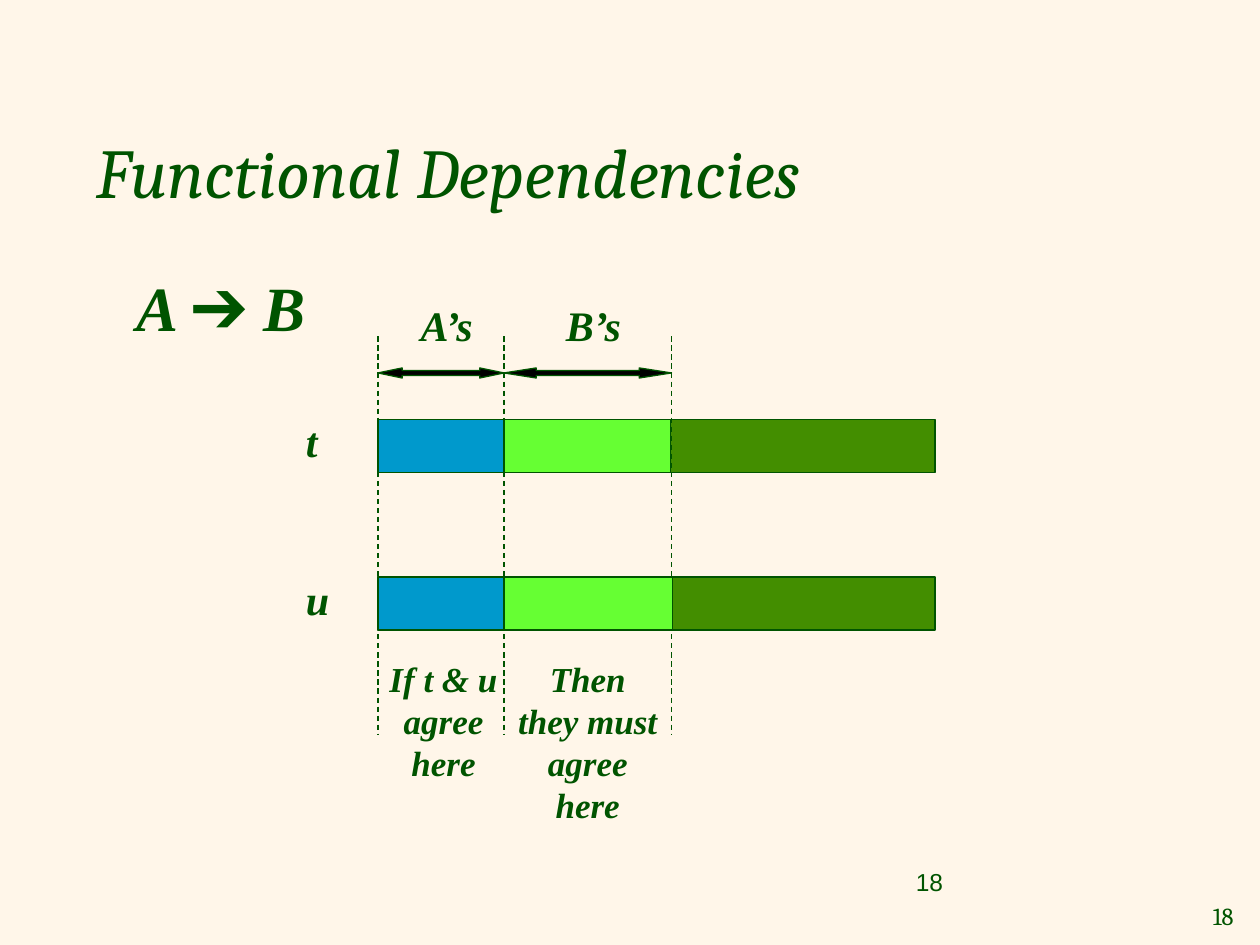
from pptx import Presentation
from pptx.dml.color import RGBColor
from pptx.enum.dml import MSO_LINE
from pptx.enum.shapes import MSO_CONNECTOR, MSO_SHAPE
from pptx.enum.text import MSO_ANCHOR, PP_ALIGN
from pptx.oxml.ns import qn
from pptx.util import Inches, Pt
from lxml import etree

LEFT, CENTER, RIGHT = PP_ALIGN.LEFT, PP_ALIGN.CENTER, PP_ALIGN.RIGHT
TOP, MIDDLE = MSO_ANCHOR.TOP, MSO_ANCHOR.MIDDLE
RECT, ARROW = MSO_SHAPE.RECTANGLE, MSO_SHAPE.LEFT_RIGHT_ARROW
STRAIGHT, DASH = MSO_CONNECTOR.STRAIGHT, MSO_LINE.DASH

CREAM = RGBColor(0xFF, 0xF6, 0xE9)
INK = RGBColor(0x00, 0x54, 0x00)
OLIVE = RGBColor(0x43, 0x8E, 0x00)
BLUE = RGBColor(0x00, 0x99, 0xCC)
LIME = RGBColor(0x66, 0xFF, 0x33)
BLACK = RGBColor(0x00, 0x00, 0x00)

prs = Presentation()
prs.slide_width, prs.slide_height = Inches(10), Inches(7.5)
slide = prs.slides.add_slide(prs.slide_layouts[6])
slide.background.fill.solid()
slide.background.fill.fore_color.rgb = CREAM
shapes = slide.shapes


def add_text(text, x, y, w, h, size, font="Times New Roman", align=CENTER,
             anchor=TOP, bold=True, italic=True, wrap=True):
    box = shapes.add_textbox(Inches(x), Inches(y), Inches(w), Inches(h))
    frame = box.text_frame
    frame.word_wrap = wrap
    frame.vertical_anchor = anchor
    frame.text = text
    para = frame.paragraphs[0]
    para.alignment = align
    face = para.runs[0].font
    face.name, face.size = font, Pt(size)
    face.bold, face.italic = bold, italic
    face.color.rgb = INK


def add_block(kind, x, y, w, h, fill):
    block = shapes.add_shape(kind, Inches(x), Inches(y), Inches(w), Inches(h))
    block.shadow.inherit = False
    block.fill.solid()
    block.fill.fore_color.rgb = fill
    block.line.color.rgb = INK
    block.line.width = Pt(0.75)
    return block


# Title and page numbers
add_text("18", 9.45, 7.1, 0.44, 0.33, 14, "Cambria", RIGHT, MIDDLE,
         bold=False, italic=False, wrap=False)
add_text("18", 7.17, 6.83, 2.33, 0.52, 14, "Arial", LEFT,
         bold=False, italic=False)
add_text("Functional Dependencies", 0.67, 0.67, 8.33, 1.37, 40, "Cambria",
         LEFT, MIDDLE, bold=False)

# Tuples t and u: name, top of the bar, width of the B part
edges = [3, 4, 5.33]
tuples = [("t", 3.33, 1.32), ("u", 4.58, 1.34)]
bar = 0.42

for name, top, wide in tuples:
    add_block(RECT, edges[0], top, 4.42, bar, OLIVE)

for x in edges:
    guide = shapes.add_connector(STRAIGHT, Inches(x), Inches(2.67),
                                 Inches(x), Inches(5.83))
    guide.line.color.rgb = INK
    guide.line.width = Pt(0.75)
    guide.line.dash_style = DASH
    etree.SubElement(guide._element.spPr, qn("a:effectLst"))

for name, top, wide in tuples:
    add_block(RECT, edges[0], top, 1, bar, BLUE)
    add_block(RECT, edges[1], top, wide, bar, LIME)
    add_text(name, 2.33, top - 0.08, 0.5, 0.5, 24, align=LEFT)

# Spans of the A and B attributes
for start, end, head in zip(edges, edges[1:], [2.4, 3.2]):
    span = add_block(ARROW, start, 2.92, end - start, 0.08, BLACK)
    span.adjustments[0] = 0.5
    span.adjustments[1] = head

add_text("A’s", 3.17, 2.33, 0.75, 0.5, 24)
add_text("B’s", 4.25, 2.33, 0.92, 0.5, 24)
add_text("If t & u agree here", 2.98, 5.17, 1.08, 1.1, 20)
add_text("Then they must agree here", 4, 5.17, 1.33, 1.43, 20)
add_text("A ➔ B", 0.92, 2.08, 1.67, 0.7, 36)

prs.save("out.pptx")
